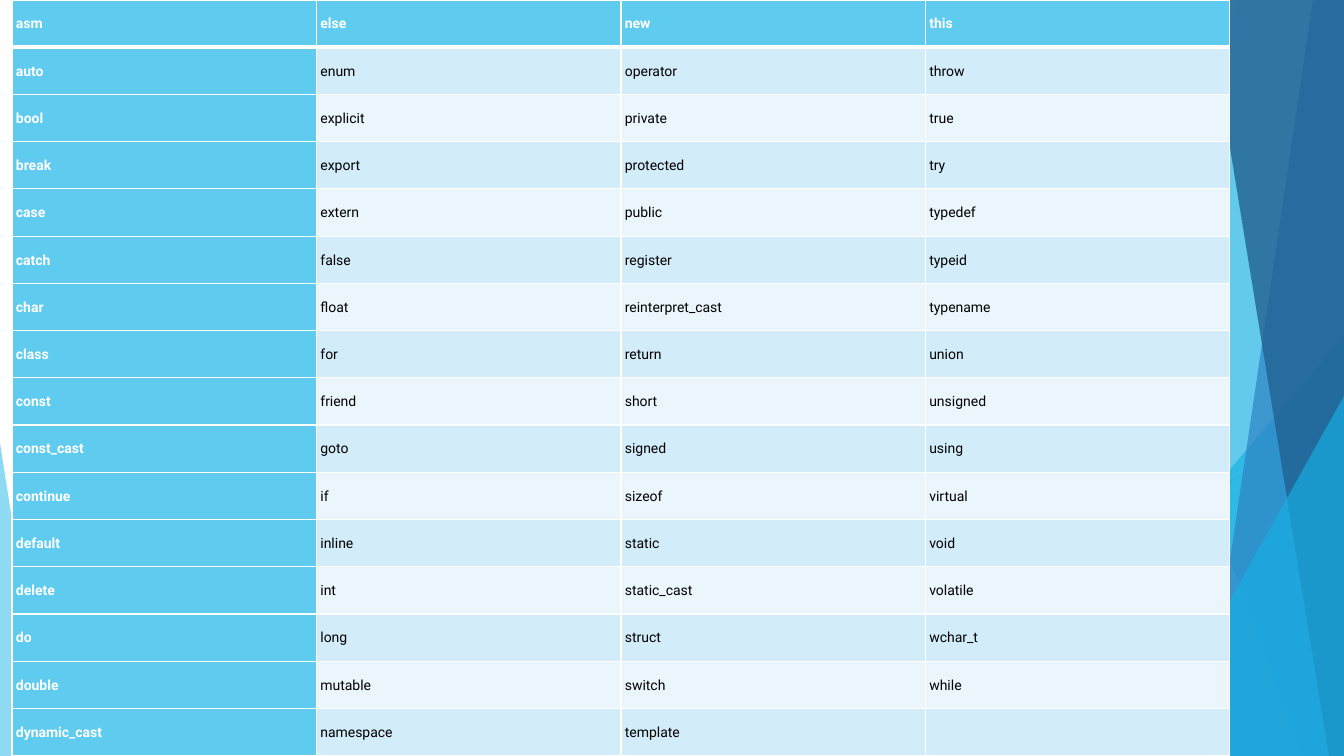
from lxml.etree import SubElement
from pptx import Presentation
from pptx.dml.color import RGBColor
from pptx.enum.shapes import MSO_CONNECTOR, MSO_SHAPE
from pptx.enum.text import MSO_ANCHOR, PP_ALIGN
from pptx.oxml.ns import qn
from pptx.util import Pt

EMU_PER_PX = 914400 / 100.8
SLIDE_WIDTH, SLIDE_HEIGHT = 1344, 756
SKY, CYAN, BLUE, NAVY = "5FCBEF", "17B0E4", "2E83C3", "226292"
WHITE, BLACK = "FFFFFF", "000000"
BANDS = ("EAF6FC", "D2ECF9")
KEYWORD_COLUMNS = [
    "asm auto bool break case catch char class const const_cast continue "
    "default delete do double dynamic_cast",
    "else enum explicit export extern false float for friend goto if "
    "inline int long mutable namespace",
    "new operator private protected public register reinterpret_cast return "
    "short signed sizeof static static_cast struct switch template",
    "this throw true try typedef typeid typename union unsigned using "
    "virtual void volatile wchar_t while",
]


def px(length):
    """Turn pixels into EMU."""
    return round(length * EMU_PER_PX)


def color(hex_code):
    """Turn a hex string into a colour."""
    return RGBColor.from_string(hex_code)


def set_opacity(shape, percent):
    """Make the explicit colour of a shape or line translucent."""
    srgb = next(shape.element.iter(qn("a:srgbClr")))
    SubElement(srgb, qn("a:alpha"), val=str(percent * 1000))


def paint(shape, fill, opacity):
    """Give a shape a translucent fill with no outline or shadow."""
    shape.shadow.inherit = False
    shape.line.fill.background()
    shape.fill.solid()
    shape.fill.fore_color.rgb = color(fill)
    set_opacity(shape, opacity)


def add_ray(slide, start, end):
    """Add a thin translucent line."""
    ray = slide.shapes.add_connector(
        MSO_CONNECTOR.STRAIGHT, *map(px, start + end))
    ray.line.color.rgb = color(SKY)
    ray.line.width = Pt(0.75)
    set_opacity(ray, 70)
    SubElement(ray.element.spPr, qn("a:effectLst"))


def add_wedge(slide, box, top_x, bottom_x, fill, opacity):
    """Add a shard from a slanted left edge to the right side of the box."""
    left, top, width, height = box
    right, bottom = left + width, top + height
    builder = slide.shapes.build_freeform(left + top_x, top, EMU_PER_PX)
    builder.add_line_segments(
        [(right, top), (right, bottom), (left + bottom_x, bottom)])
    paint(builder.convert_to_shape(), fill, opacity)


def add_corner(slide, box, apex, fill, opacity):
    """Add a triangle filling the box, with its apex at the given fraction."""
    corner = slide.shapes.add_shape(
        MSO_SHAPE.ISOSCELES_TRIANGLE, *map(px, box))
    corner.adjustments[0] = apex
    paint(corner, fill, opacity)


def add_facets(slide, box):
    """Draw the overlapping shards along the right side."""
    left, top, width, height = box
    right, bottom = left + width, top + height
    add_ray(slide, (left + 215, top), (left + 349, bottom))
    add_ray(slide, (right, top + 406), (left, bottom))
    add_wedge(slide, box, 420, 194, SKY, 36)
    add_wedge(slide, box, 240, 374, SKY, 20)
    add_corner(slide, (right - 359, bottom - 420, 359, 420), 1, CYAN, 66)
    for top_x, bottom_x, fill, opacity in (
            (211, 483, CYAN, 50), (495, 383, BLUE, 70), (388, 511, NAVY, 80)):
        add_wedge(slide, box, top_x, bottom_x, fill, opacity)
    add_corner(slide, (right - 201, bottom - 360, 201, 360), 1, CYAN, 66)


def add_borders(cell, top_width, bottom_width):
    """Give a cell white borders."""
    properties = cell._tc.get_or_add_tcPr()
    for side, width in (("L", 1), ("R", 1), ("T", top_width), ("B", bottom_width)):
        line = SubElement(properties, qn(f"a:ln{side}"), w=str(Pt(width)))
        fill = SubElement(line, qn("a:solidFill"))
        SubElement(fill, qn("a:srgbClr"), val=WHITE)


def fill_cell(cell, keyword, row, column):
    """Format one cell by its place in the table and write its keyword."""
    heading = row == 0 or column == 0
    add_borders(cell, 3 if row == 1 else 1, 3 if row == 0 else 1)
    cell.fill.solid()
    cell.fill.fore_color.rgb = color(SKY if heading else BANDS[row % 2])
    cell.vertical_anchor = MSO_ANCHOR.MIDDLE
    cell.margin_left = cell.margin_right = px(4)
    cell.margin_top = cell.margin_bottom = px(4)
    if not keyword:
        return
    paragraph = cell.text_frame.paragraphs[0]
    paragraph.alignment = PP_ALIGN.JUSTIFY
    paragraph.line_spacing = 1.07
    paragraph.space_after = Pt(8)
    run = paragraph.add_run()
    run.text = keyword
    run.font.name = "Roboto"
    run.font.size = Pt(10)
    run.font.bold = heading
    run.font.color.rgb = color(WHITE if heading else BLACK)


def add_keyword_table(slide, box):
    """Lay out the keywords column by column in an even grid."""
    columns = [words.split() for words in KEYWORD_COLUMNS]
    row_count = max(map(len, columns))
    table = slide.shapes.add_table(
        row_count, len(columns), *map(px, box)).table
    table.first_col = True
    for column, keywords in enumerate(columns):
        for row in range(row_count):
            keyword = keywords[row] if row < len(keywords) else ""
            fill_cell(table.cell(row, column), keyword, row, column)


def main():
    """Build and save the keyword slide."""
    presentation = Presentation()
    presentation.slide_width = px(SLIDE_WIDTH)
    presentation.slide_height = px(SLIDE_HEIGHT)
    slide = presentation.slides.add_slide(presentation.slide_layouts[6])
    add_facets(slide, (818, 0, 526, SLIDE_HEIGHT))
    add_corner(slide, (0, 443, 49, 313), 0, SKY, 70)
    add_keyword_table(slide, (12, 0, 1218, SLIDE_HEIGHT))
    presentation.save("out.pptx")


if __name__ == "__main__":
    main()
